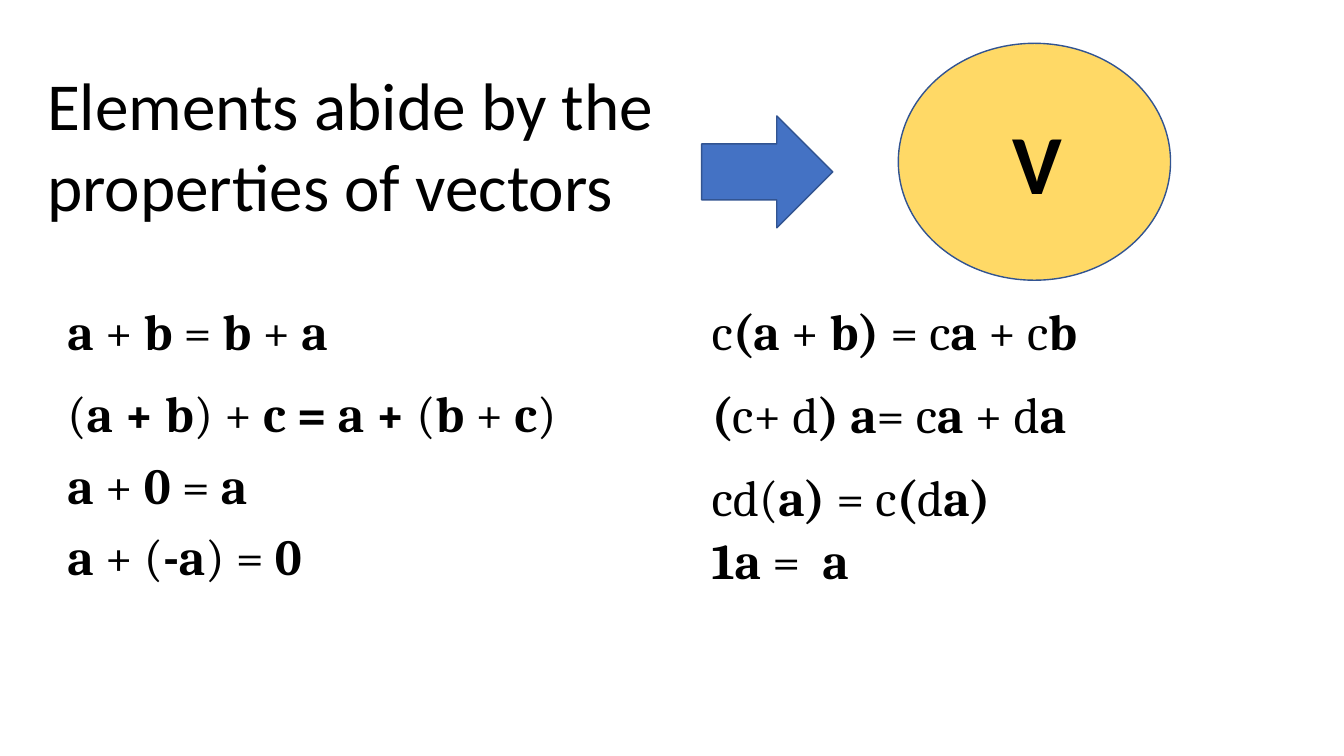
from pptx import Presentation
from pptx.dml.color import RGBColor
from pptx.enum.shapes import MSO_SHAPE as Shape
from pptx.enum.text import MSO_AUTO_SIZE as AutoSize
from pptx.util import Inches, Pt

COLORS = {
    "text": "000000",
    "arrow": "4472C4",
    "space": "FFD966",
    "outline": "325491",
}

LAW_HEIGHT = 0.71
ADDITION_LEFT = 0.57
SCALING_LEFT = 6.96

# Asterisks switch bold on and off.
ADDITION_LAWS = [
    (2.93, 3, "*a* + *b* = *b* + *a*"),
    (3.74, 5.08, "(*a + b*) +* c = a + *(*b* + *c*)"),
    (4.46, 2.61, "*a* + *0* = *a*"),
    (5.16, 2.72, "*a* + (*-a*) = *0*"),
]
SCALING_LAWS = [
    (2.93, 4.06, "c*(a* + *b)* = c*a* + c*b*"),
    (3.75, 4.06, "*(*c+ d*) a*= c*a* + d*a*"),
    (4.57, 4.06, "cd(*a) *= c*(*d*a)*"),
    (5.2, 1.69, "*1a* =  *a*"),
]


def rgb(name):
    return RGBColor.from_string(COLORS[name])


def add_text(shapes, box, text, size, font_name):
    textbox = shapes.add_textbox(*map(Inches, box))
    frame = textbox.text_frame
    frame.word_wrap = True
    frame.auto_size = AutoSize.SHAPE_TO_FIT_TEXT
    paragraph = frame.paragraphs[0]
    paragraph.font.size = Pt(size)
    paragraph.font.name = font_name
    paragraph.font.color.rgb = rgb("text")
    for index, part in enumerate(text.split("*")):
        if part:
            run = paragraph.add_run()
            run.text = part
            run.font.bold = index % 2 == 1


def add_figure(shapes, preset, box, fill):
    figure = shapes.add_shape(preset, *map(Inches, box))
    figure.shadow.inherit = False
    figure.fill.solid()
    figure.fill.fore_color.rgb = rgb(fill)
    figure.line.color.rgb = rgb("outline")
    figure.line.width = Pt(1)


def add_laws(shapes, left, laws):
    for top, width, law in laws:
        add_text(shapes, (left, top, width, LAW_HEIGHT), law, 36, "Cambria")


def add_vector_space(shapes):
    space = shapes.add_group_shape().shapes
    add_figure(space, Shape.OVAL, (8.91, 0.43, 2.7, 2.35), "space")
    add_text(space, (9.94, 1.05, 0.48, 1.11), "*V*", 60, "Calibri")


def main():
    presentation = Presentation()
    presentation.slide_width = Inches(13.33)
    presentation.slide_height = Inches(7.5)
    shapes = presentation.slides.add_slide(presentation.slide_layouts[6]).shapes

    add_text(shapes, (0.37, 0.58, 6.74, 1.72),
             "Elements abide by the properties of vectors", 48, "Calibri")
    add_figure(shapes, Shape.RIGHT_ARROW, (6.96, 1.15, 1.3, 1.11), "arrow")
    add_laws(shapes, ADDITION_LEFT, ADDITION_LAWS)
    add_laws(shapes, SCALING_LEFT, SCALING_LAWS)
    add_vector_space(shapes)
    presentation.save("out.pptx")


if __name__ == "__main__":
    main()
